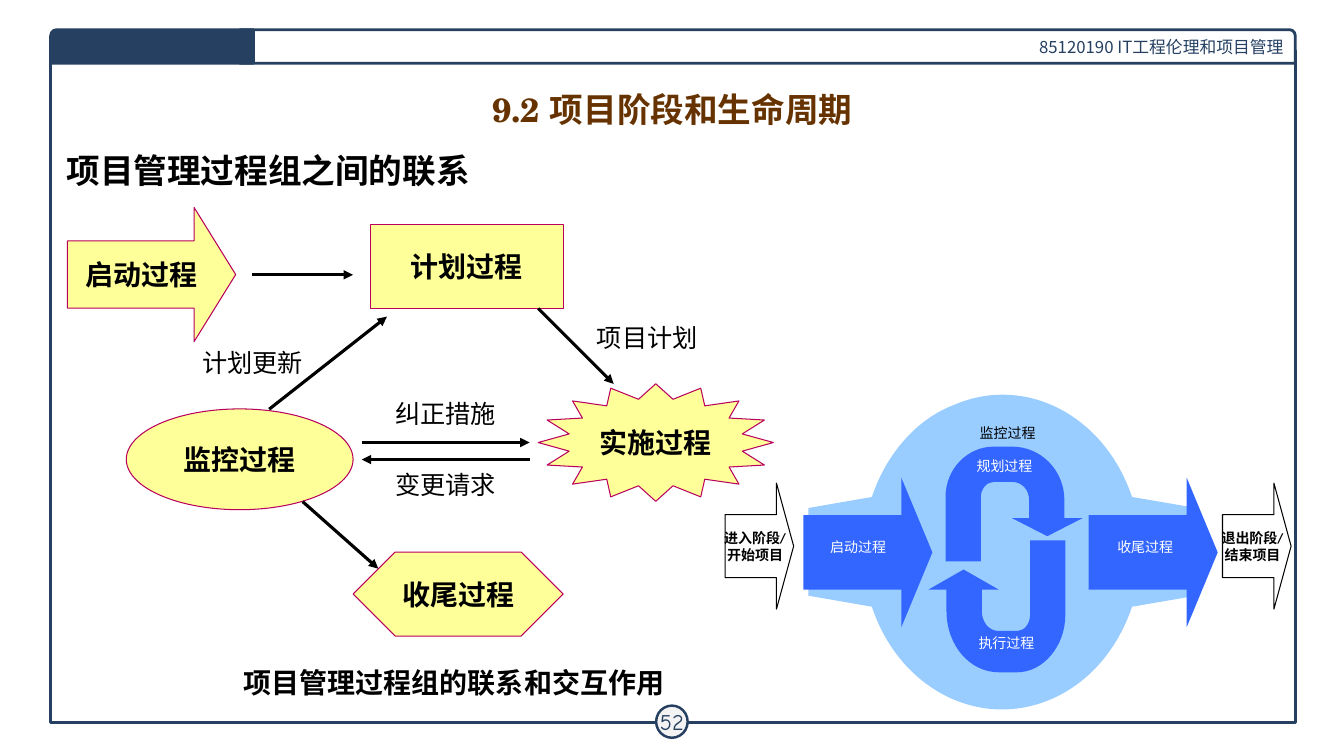
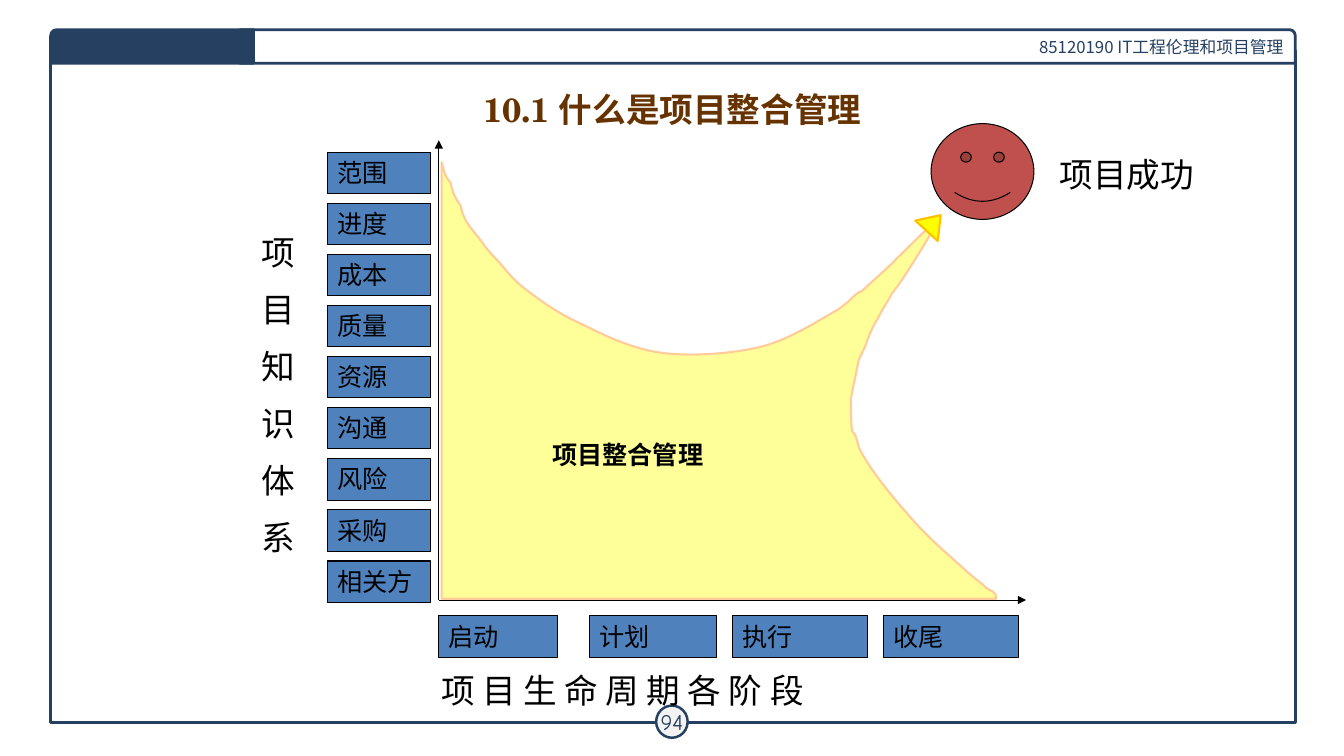
import dataclasses
import itertools

import lxml.etree
import pptx
import pptx.dml.color
import pptx.enum.shapes
import pptx.enum.text
import pptx.oxml.ns
import pptx.util


@dataclasses.dataclass(frozen=True)
class Theme:
    navy: str = "254061"
    brown: str = "663300"
    black: str = "000000"
    white: str = "FFFFFF"
    badge: str = "F3F3F3"
    cream: str = "FFFF99"
    magenta: str = "B8005C"
    sky: str = "99CCFF"
    royal: str = "3366FF"
    steel: str = "4F81BD"
    red: str = "C0504D"
    peach: str = "FFCC99"
    yellow: str = "FFFF00"
    gold: str = "FFC000"
    heading: int = 24
    node: int = 20
    label: int = 18
    number: int = 16
    header: int = 12
    small: int = 10
    cjk: str = "Noto Sans CJK SC"
    title_font: str = "TeX Gyre Schola"
    number_font: str = "Comic Neue"


T = Theme()
Pt = pptx.util.Pt
RGB = pptx.dml.color.RGBColor.from_string
SHAPE = pptx.enum.shapes.MSO_SHAPE
ALIGN = pptx.enum.text.PP_ALIGN
ANCHOR = pptx.enum.text.MSO_ANCHOR
qn = pptx.oxml.ns.qn


def box(s, kind, at, fill=None, line=None, width=0.75):
    lengths = [Pt(v) for v in at]
    if kind is None:
        return s.shapes.add_textbox(*lengths)
    sp = s.shapes.add_shape(kind, *lengths)
    sp.shadow.inherit = False
    if fill:
        sp.fill.solid()
        sp.fill.fore_color.rgb = RGB(fill)
    else:
        sp.fill.background()
    if line:
        sp.line.color.rgb = RGB(line)
        sp.line.width = Pt(width)
    else:
        sp.line.fill.background()
    return sp


def write(sp, text, size, color=T.black, font=T.cjk, bold=False, align=ALIGN.CENTER,
          anchor=ANCHOR.MIDDLE, wrap=False, inset=None, gap=0):
    tf = sp.text_frame
    tf.text = text
    tf.word_wrap = wrap
    tf.auto_size = pptx.enum.text.MSO_AUTO_SIZE.NONE
    tf.vertical_anchor = anchor
    if inset is not None:
        tf.margin_left = tf.margin_top = tf.margin_right = tf.margin_bottom = Pt(inset)
    for i, p in enumerate(tf.paragraphs):
        p.alignment = align
        p.space_before = Pt(gap if i else 0)
        p.font.size = Pt(size)
        p.font.bold = bold
        p.font.color.rgb = RGB(color)
        p.font.name = font
        ea = lxml.etree.SubElement(p._p.pPr.find(qn("a:defRPr")), qn("a:ea"))
        ea.set("typeface", T.cjk)


prs = pptx.Presentation()
prs.slide_width, prs.slide_height = Pt(960), Pt(540)
layout = prs.slide_layouts[5]
title = layout.placeholders[0]
title.left, title.top, title.width, title.height = Pt(48.2), Pt(60.3), Pt(864), Pt(34.6)

for heading, number in [("9.2 项目阶段和生命周期", "52"), ("10.1 什么是项目整合管理", "94")]:
    s = prs.slides.add_slide(layout)
    write(s.shapes.title, heading, T.heading, T.brown, T.title_font, True, wrap=True)
    badge = box(s, SHAPE.OVAL, (468.7, 504, 22.5, 23), T.badge, T.navy, 1.75)
    write(badge, number, T.number, T.navy, T.number_font, inset=2.9)

process, integration = prs.slides

frame = box(process, SHAPE.RECTANGLE, (36, 36, 889.2, 480.2), None, T.navy, 2)
header = box(process, SHAPE.ROUND_1_RECTANGLE, (171.4, 21.2, 753.8, 24), T.white, T.navy, 2)
write(header, "85120190 IT工程伦理和项目管理", T.header, T.navy, align=ALIGN.RIGHT, wrap=True)
tab = box(process, SHAPE.ROUND_1_RECTANGLE, (36.2, 21.2, 144.9, 24), T.navy, T.navy, 2)
tab.adjustments[0] = 0.18
tab.element.spPr.xfrm.set("flipH", "1")
for i, sp in enumerate([frame, header, tab]):
    sp.element.nvSpPr.cNvPr.id = 101 + i
    layout.shapes.element.append(sp.element)

nodes = [
    ("启动过程", SHAPE.RIGHT_ARROW, (48.2, 148.1, 120.2, 96)),
    ("计划过程", SHAPE.RECTANGLE, (264.4, 160.3, 138.2, 60)),
    ("监控过程", SHAPE.OVAL, (90.2, 292.1, 162, 72)),
    ("实施过程", SHAPE.STAR_16_POINT, (384.4, 274.1, 168, 84)),
    ("收尾过程", SHAPE.FLOWCHART_PREPARATION, (252.3, 394.3, 150, 60)),
]
for text, kind, at in nodes:
    sp = box(process, kind, at, T.cream, T.magenta)
    if kind == SHAPE.RIGHT_ARROW:
        sp.adjustments[1] = 0.31
    write(sp, text, T.node, font="Arial", bold=True)

arrows = [
    (process, (180.2, 196.3, 252.2, 196.3), 2.25),
    (process, (192.3, 292.3, 276.4, 226.2), 2.25),
    (process, (384.4, 220.3, 438.4, 274.3), 2.25),
    (process, (258.4, 316.1, 378.3, 316.1), 2.25),
    (process, (378.3, 328.3, 258.4, 328.3), 2.25),
    (process, (216.2, 358.3, 270.2, 406.2), 2.25),
    (integration, (313.4, 428.6, 733, 428.6), 0.75),
    (integration, (313.4, 428.6, 313.4, 100.2), 0.75),
]
for s, ends, width in arrows:
    c = s.shapes.add_connector(pptx.enum.shapes.MSO_CONNECTOR.STRAIGHT, *[Pt(v) for v in ends])
    c.line.color.rgb = RGB(T.black)
    c.line.width = Pt(width)
    spPr = c.element.spPr
    lxml.etree.SubElement(spPr.find(qn("a:ln")), qn("a:tailEnd")).set("type", "triangle")
    lxml.etree.SubElement(spPr, qn("a:effectLst"))

flow_labels = [
    ("计划更新", (132.4, 244, 96, 30)),
    ("项目计划", (420.4, 226.2, 84, 30)),
    ("纠正措施", (264.4, 280.2, 108, 30)),
    ("变更请求", (270.4, 334.2, 96, 24)),
]
for text, at in flow_labels:
    write(box(process, None, at), text, T.label, font="Arial")

write(box(process, None, (126.3, 472.3, 396, 30)), "项目管理过程组的联系和交互作用",
      T.node, font="Arial", bold=True)
write(box(process, None, (40.5, 103.2, 305.3, 36)), "项目管理过程组之间的联系",
      T.heading, bold=True, align=ALIGN.LEFT, anchor=ANCHOR.TOP)

monitoring = [
    (808.6, 355), (789, 296.6, 732.2, 267.1, 681.1, 289.4),
    (654.5, 299.5, 632.9, 324.7, 622.8, 355), (577.4, 362.9), (577.4, 425.5),
    (622.8, 433.4), (642.2, 491.8, 699.1, 521.3, 750.2, 499.7),
    (777.6, 488.2, 798.5, 463.7, 808.6, 433.4), (854.6, 425.5), (854.6, 362.9),
]
executing = [
    (726.5, 450.7), (731.5, 450.7, 735.8, 445.7, 735.8, 439.2), (735.8, 385.9),
    (761, 385.9), (761, 439.2), (761, 461.5, 745.2, 480.2, 726.5, 480.2),
    (713.5, 480.2), (692.6, 480.2, 676.1, 460.8, 676.1, 436.3), (676.1, 421.2),
    (663.1, 421.2), (688.3, 406.8), (713.5, 421.2), (701.3, 421.2), (701.3, 436.3),
    (701.3, 444.2, 706.3, 450.7, 713.5, 450.7),
]
planning = [
    (709.9, 344.2), (704.9, 344.2, 700.6, 349.2, 700.6, 355), (700.6, 401),
    (675.4, 401), (675.4, 355), (675.4, 334.8, 691.2, 319, 709.9, 319),
    (722.9, 319), (743.8, 319, 760.3, 336.2, 760.3, 357.1), (760.3, 370.1),
    (773.3, 370.1), (748.1, 383), (722.9, 370.1), (735.1, 370.1), (735.1, 357.1),
    (735.1, 349.9, 730.1, 344.2, 722.9, 344.2),
]
integrated_area = [
    (711.4, 427.7), (315.4, 427.7), (315.4, 115.9),
    (317.5, 123.1, 317.5, 126, 321.8, 130.3),
    (323.3, 138.2, 325.4, 141.8, 329, 146.9),
    (331.2, 159.1, 338.4, 164.9, 344.2, 172.8),
    (348.5, 179.3, 349.9, 180, 355, 185.8),
    (360, 190.8, 364.3, 198, 374.4, 205.9),
    (383.8, 213.1, 398.2, 223.9, 414.7, 231.1),
    (430.6, 239, 450.7, 249.1, 472.3, 252),
    (493.9, 254.9, 522.7, 252.7, 543.6, 247.7),
    (563.8, 242.6, 584.6, 229, 596.2, 222.5),
    (608.4, 215.3, 609.1, 210.2, 616.3, 207.4),
    (621.4, 202.3, 636.5, 189.4, 640.8, 184.3),
    (642.2, 183.6, 668.9, 155.5, 668.2, 159.8),
    (667.4, 164.2, 643, 203, 637.2, 209.5),
    (634.3, 215.3, 630.7, 219.6, 627.8, 226.1),
    (624.2, 231.8, 620.6, 239, 618.5, 246.2),
    (612, 260.6, 614.2, 252.7, 611.3, 267.8),
    (610.6, 270, 607.7, 285.1, 607.7, 285.1),
    (608.4, 323.3, 608.4, 297.4, 613.4, 319.7),
    (622.1, 337, 639.4, 357.1, 650.2, 369.4),
    (662.4, 383.8, 680.4, 398.9, 689.8, 407.5),
    (698.4, 415.4, 701.3, 416.2, 704.2, 419.8),
    (706.3, 421.9, 712.1, 421.9, 711.4, 427.7),
]
outlines = [
    (process, monitoring, T.sky, None),
    (process, executing, T.royal, None),
    (process, planning, T.royal, None),
    (integration, integrated_area, T.cream, T.peach),
]
for s, outline, fill, line in outlines:
    points = [(Pt(x), Pt(y)) for step in outline for x, y in zip(step[::2], step[1::2])]
    builder = s.shapes.build_freeform(*points[0])
    builder.add_line_segments(points[1:], close=True)
    sp = builder.convert_to_shape()
    contour = next(sp.element.iter(qn("a:path")))
    segments = iter(contour.findall(qn("a:lnTo")))
    for step in outline[1:]:
        group = list(itertools.islice(segments, len(step) // 2))
        if len(group) == 3:
            curve = lxml.etree.Element(qn("a:cubicBezTo"))
            group[0].addprevious(curve)
            for segment in group:
                curve.append(segment.find(qn("a:pt")))
                contour.remove(segment)
    sp.shadow.inherit = False
    sp.fill.solid()
    sp.fill.fore_color.rgb = RGB(fill)
    if line:
        sp.line.color.rgb = RGB(line)
        sp.line.width = Pt(1.5)
        write(sp, "项目整合管理", T.label, font="Times New Roman", bold=True,
              align=ALIGN.LEFT, wrap=True)
        sp.text_frame.margin_left = Pt(79)
        sp.text_frame.margin_top = Pt(109)
    else:
        sp.line.fill.background()

for left in (573.8, 777.6):
    sp = box(process, SHAPE.RIGHT_ARROW, (left, 341.3, 92.2, 106.6), T.royal)
    sp.adjustments[1] = 0.24

phase_labels = [
    ("启动过程", 590.2, 384.9, T.white),
    ("收尾过程", 795.3, 384.9, T.white),
    ("规划过程", 694.8, 326.9, T.white),
    ("执行过程", 696.2, 452.9, T.white),
    ("监控过程", 697, 303.1, T.black),
]
for text, left, top, color in phase_labels:
    write(box(process, None, (left, top, 45.4, 12.2)), text, T.small, color, inset=0)

for text, left in [("进入阶段/\n开始项目", 517.9), ("退出阶段/\n结束项目", 873.2)]:
    sp = box(process, SHAPE.RIGHT_ARROW, (left, 345.1, 49, 90), None, T.black)
    sp.adjustments[1] = 0.25
    write(sp, text, T.small, font="Calibri", bold=True)

areas = ["范围", "进度", "成本", "质量", "资源", "沟通", "风险", "采购", "相关方"]
area_cells = [(text, (234, 108.7 + 36.5 * i, 73.7, 29.5)) for i, text in enumerate(areas)]
phases = [("启动", 313.2, 85), ("计划", 421.2, 90.7), ("执行", 523.4, 96.5), ("收尾", 630.9, 96.5)]
phase_cells = [(text, (left, 439.9, width, 29.5)) for text, left, width in phases]
for text, at in itertools.chain(area_cells, phase_cells):
    sp = box(integration, SHAPE.RECTANGLE, at, T.steel, T.black)
    write(sp, text, T.label, font="Times New Roman", align=ALIGN.LEFT,
          anchor=ANCHOR.TOP, wrap=True)

box(integration, SHAPE.SMILEY_FACE, (665.1, 88.3, 73.4, 68.4), T.red, T.black)
tip = box(integration, SHAPE.ISOSCELES_TRIANGLE, (656.1, 151.7, 21.6, 15.1), T.yellow, T.gold, 1.5)
tip.rotation = 42.2

captions = [
    ("项目成功", (749.7, 106.6, 115.2, 36)),
    ("\n".join("项目知识体系"), (180, 162, 49, 254.2)),
    ("项 目 生 命 周 期 各 阶 段", (308, 475.2, 357.1, 36)),
]
for text, at in captions:
    write(box(integration, None, at), text, T.heading, align=ALIGN.LEFT,
          anchor=ANCHOR.TOP, wrap=True, gap=12)

prs.save("out.pptx")
